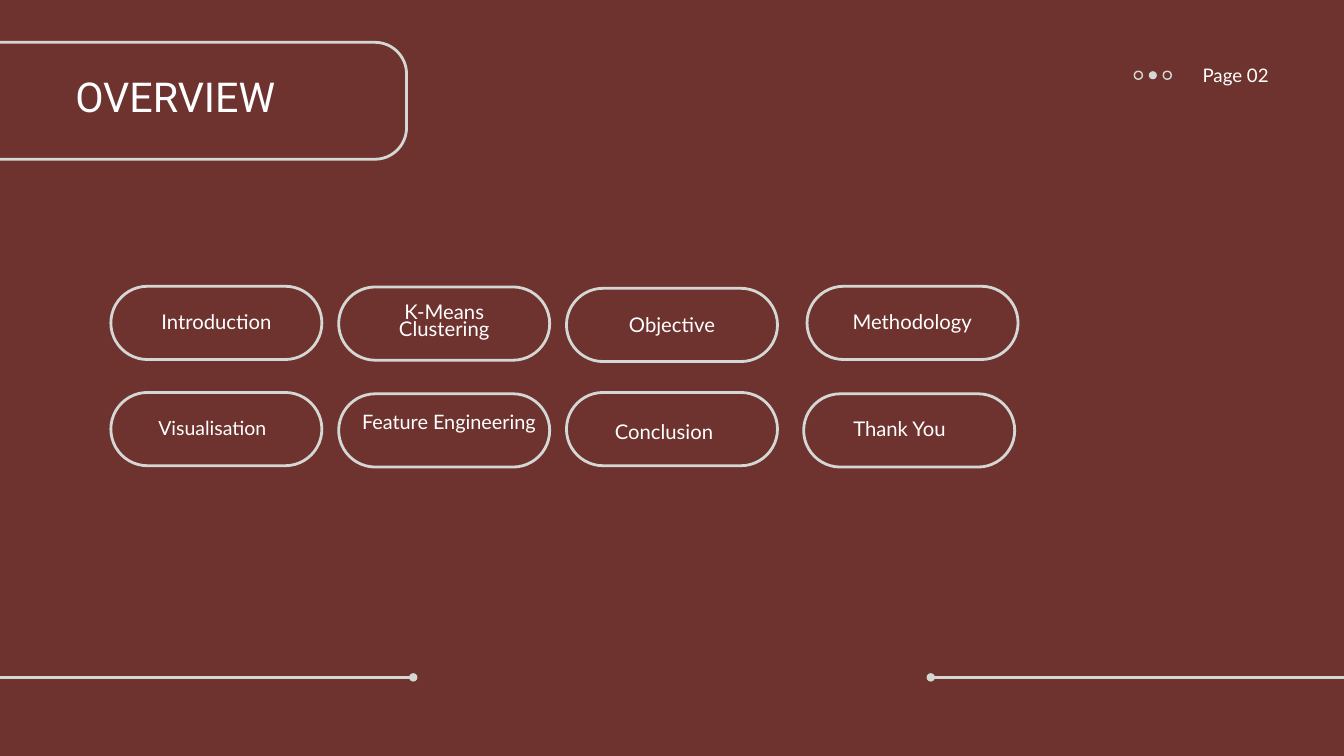
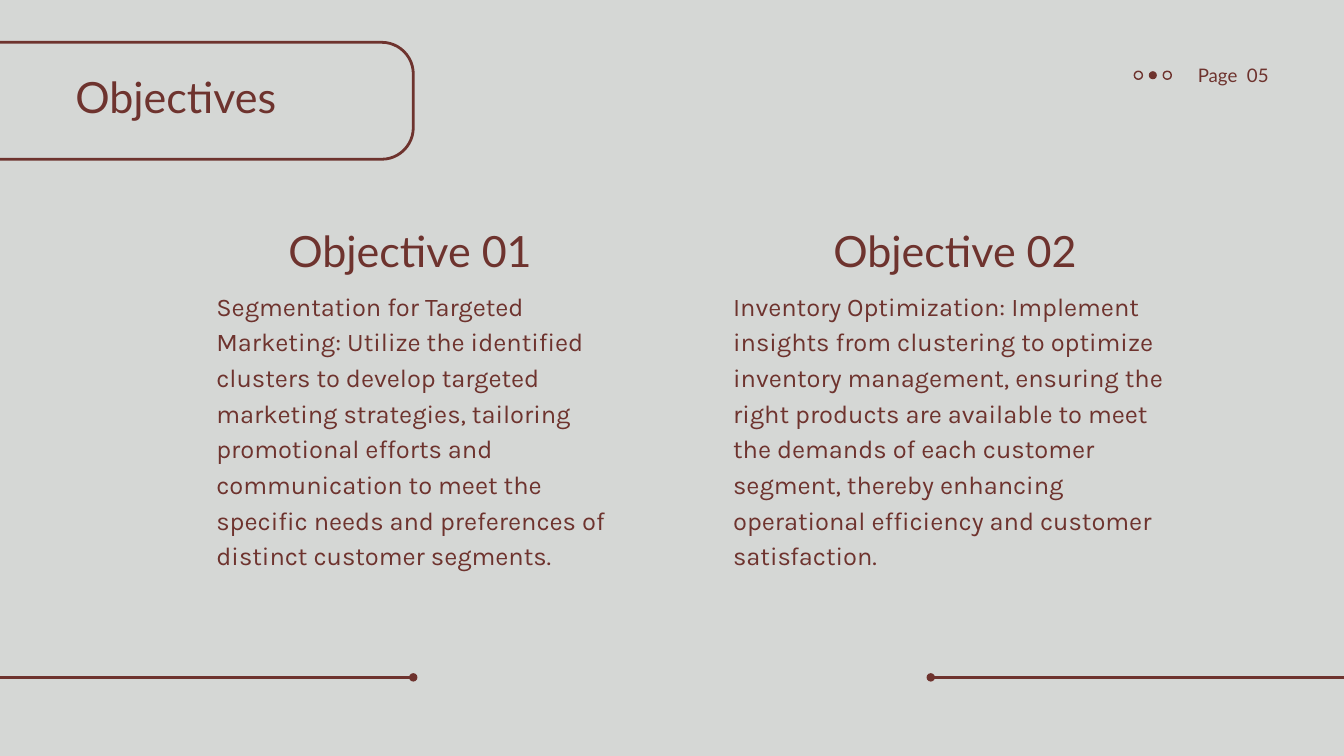
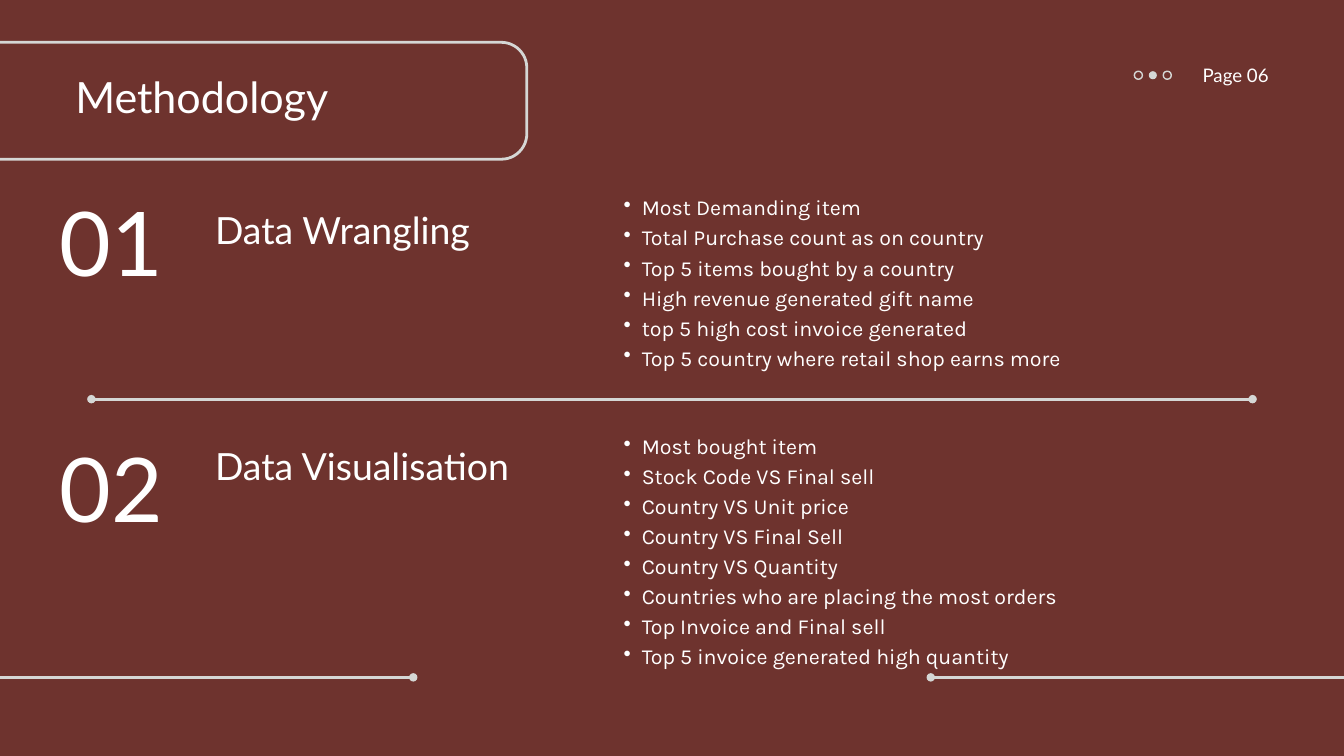
from collections import namedtuple

from lxml import etree
from pptx import Presentation
from pptx import util as u
from pptx.dml.color import RGBColor
from pptx.enum import shapes, text
from pptx.oxml import ns

MAROON = RGBColor(0x6E, 0x33, 0x2E)
SILVER = RGBColor(0xD5, 0xD7, 0xD5)
WHITE = RGBColor(0xFF, 0xFF, 0xFF)

Theme = namedtuple("Theme", "ground accent ink")
DARK = Theme(MAROON, SILVER, WHITE)
LIGHT = Theme(SILVER, MAROON, MAROON)

Box = namedtuple("Box", "left top width height")
TIGHT, SINGLE, LOOSE = 0.87, 1, 1.4
LEFT, CENTER, RIGHT = text.PP_ALIGN.LEFT, text.PP_ALIGN.CENTER, text.PP_ALIGN.RIGHT

PILL_WIDTH, PILL_HEIGHT = 3.14, 1.09
TOPICS = [
    ("Introduction", (1.65, 4.26), Box(0.18, 0.44, 2.78, 0.3), 21.7, TIGHT),
    ("K-Means Clustering", (5.04, 4.27), Box(0.36, 0.28, 2.42, 0.56), 21.7, TIGHT),
    ("Objective", (8.43, 4.29), Box(0.67, 0.46, 1.8, 0.3), 21.7, TIGHT),
    ("Methodology", (12.01, 4.26), Box(0.25, 0.4, 2.63, 0.32), 21.7, SINGLE),
    ("Visualisation", (1.65, 5.84), Box(0.06, 0.41, 2.9, 0.31), 20.9, SINGLE),
    ("Feature Engineering", (5.04, 5.86), Box(0.29, 0.3, 2.7, 0.61), 21.3, SINGLE),
    ("Conclusion", (8.43, 5.84), Box(0.29, 0.46, 2.32, 0.32), 21.7, SINGLE),
    ("Thank You", (11.96, 5.86), Box(0.35, 0.4, 2.15, 0.32), 21.7, SINGLE),
]

OBJECTIVES = [
    ("Objective 01", Box(3.22, 3.55, 6.01, 4.84), 1.07,
     "Segmentation for Targeted Marketing: Utilize the identified clusters to "
     "develop targeted marketing strategies, tailoring promotional efforts and "
     "communication to meet the specific needs and preferences of distinct "
     "customer segments."),
    ("Objective 02", Box(10.91, 3.55, 6.74, 4.84), 1.49,
     "Inventory Optimization: Implement insights from clustering to optimize "
     "inventory management, ensuring the right products are available to meet "
     "the demands of each customer segment, thereby enhancing operational "
     "efficiency and customer satisfaction."),
]

WRANGLING = [
    "Most Demanding item",
    "Total Purchase count as on country",
    "Top 5 items bought by a country",
    "High revenue generated gift name",
    "top 5 high cost invoice generated",
    "Top 5 country where retail shop earns more",
]
VISUALISATION = [
    "Most bought item",
    "Stock Code VS Final sell",
    "Country VS Unit price",
    "Country VS Final Sell",
    "Country VS Quantity",
    "Countries who are placing the most orders",
    "Top Invoice and Final sell",
    "Top 5 invoice generated high quantity",
]


def inches(box):
    """Convert a box of numbers to lengths."""
    return [u.Inches(value) for value in box]


def inside(box, left, top, width, height):
    """Return a box placed relative to the corner of another."""
    return Box(box.left + left, box.top + top, width, height)


def add_text(page, box, lines, size, color, font="Lato", spacing=TIGHT,
             align=LEFT, bullets=False):
    """Write lines in a wrapped text box without margins."""
    frame = page.shapes.add_textbox(*inches(box)).text_frame
    frame.margin_left = frame.margin_top = frame.margin_right = frame.margin_bottom = 0
    frame.word_wrap = True
    frame.auto_size = text.MSO_AUTO_SIZE.SHAPE_TO_FIT_TEXT
    frame.text = "\n".join(lines)
    for para in frame.paragraphs:
        para.alignment = align
        para.line_spacing = u.Pt(round(size * spacing, 1))
        if bullets:
            add_bullet(para)
        for span in para.runs:
            span.font.name = font
            span.font.size = u.Pt(size)
            span.font.color.rgb = color


def add_bullet(para):
    """Give a paragraph a round bullet and a hanging indent."""
    para.level = 1
    props = para._p.get_or_add_pPr()
    props.set("marL", str(u.Inches(0.54)))
    props.set("indent", str(u.Inches(-0.27)))
    etree.SubElement(props, ns.qn("a:buChar"), char="•")


def add_outline(page, kind, box, color, weight=3, filled=False):
    """Draw a preset shape that is either outlined or filled."""
    shape = page.shapes.add_shape(kind, *inches(box))
    shape.shadow.inherit = False
    if filled:
        shape.fill.solid()
        shape.fill.fore_color.rgb = color
        shape.line.fill.background()
    else:
        shape.fill.background()
        shape.line.color.rgb = color
        shape.line.width = u.Pt(weight)
    return shape


def add_rounded(page, box, color, radius):
    """Outline a rectangle with corners of the given radius."""
    shape = add_outline(page, shapes.MSO_SHAPE.ROUNDED_RECTANGLE, box, color)
    shape.adjustments[0] = radius / box.height


def add_rule(page, start, end, top, color, ends=("tailEnd",)):
    """Draw a horizontal line with dots at the named ends."""
    rule = page.shapes.add_connector(
        shapes.MSO_CONNECTOR.STRAIGHT, *inches((start, top, end, top)))
    rule.line.color.rgb = color
    rule.line.width = u.Pt(3)
    for end_name in ends:
        etree.SubElement(rule.line._ln, ns.qn("a:" + end_name), type="oval")
    etree.SubElement(rule._element.spPr, ns.qn("a:effectLst"))


def add_title(page, box, title, theme, radius=0.47, font="Lato", size=46.1):
    """Draw the title tab that runs in from the left edge."""
    add_rounded(page, box, theme.accent, radius)
    add_text(page, inside(box, 2.56, 0.63, box.width - 3, 0.63), [title], size,
             theme.ink, font)


def add_page_mark(page, box, label, theme):
    """Draw three dots and the page number."""
    for index in range(3):
        dot = inside(box, 0.215 * index, 0.16, 0.12, 0.12)
        add_outline(page, shapes.MSO_SHAPE.OVAL, dot, theme.accent, 1.5, index == 1)
    add_text(page, inside(box, box.width - 1.5, 0, 1.5, box.height), [label], 20,
             theme.ink, spacing=LOOSE, align=RIGHT)


def add_page(deck, theme, label):
    """Add a slide with ground, page mark and footer lines."""
    page = deck.slides.add_slide(deck.slide_layouts[6])
    page.background.fill.solid()
    page.background.fill.fore_color.rgb = theme.ground
    add_page_mark(page, Box(16.88, 0.9, 2, 0.39), label, theme)
    for start, end in ((-1.22, 6.15), (21.22, 13.85)):
        add_rule(page, start, end, 10.08, theme.accent)
    return page


def add_topic(page, box, label, label_box, size, spacing, theme):
    """Draw a pill with its topic."""
    add_rounded(page, box, theme.accent, box.height / 2)
    add_text(page, inside(box, *label_box), [label], size, theme.ink,
             spacing=spacing, align=CENTER)


def add_objective(page, box, heading, indent, body, theme):
    """Write a heading over its paragraph."""
    add_text(page, inside(box, indent, 0, 5.25, 0.63), [heading], 46.1, theme.ink)
    add_text(page, inside(box, 0, 0.7, box.width, box.height - 0.7), [body], 27.3,
             theme.ink, "Karla", LOOSE)


def add_step(page, box, number, number_top, heading, heading_top, items, theme):
    """Write a numbered step with its bullet list."""
    add_text(page, inside(box, 0, number_top, 2.32, 1.27), [number], 95.5, theme.ink)
    add_text(page, inside(box, 2.31, heading_top, 5.24, 1.01), [heading], 40.1, theme.ink)
    add_text(page, inside(box, 8.12, 0, 8.45, box.height), items, 23, theme.ink,
             "Karla", LOOSE, bullets=True)


def build_overview(deck):
    """Build the overview of topics."""
    page = add_page(deck, DARK, "Page 02")
    add_title(page, Box(-1.44, 0.63, 7.49, 1.74), "OVERVIEW", DARK,
              font="Roboto", size=44.1)
    for label, corner, label_box, size, spacing in TOPICS:
        pill = Box(*corner, PILL_WIDTH, PILL_HEIGHT)
        add_topic(page, pill, label, label_box, size, spacing, DARK)


def build_objectives(deck):
    """Build the two objectives."""
    page = add_page(deck, LIGHT, "Page  05")
    add_title(page, Box(-1.44, 0.63, 7.59, 1.74), "Objectives", LIGHT)
    for heading, box, indent, body in OBJECTIVES:
        add_objective(page, box, heading, indent, body, LIGHT)


def build_methodology(deck):
    """Build the two steps of the method."""
    page = add_page(deck, DARK, "Page 06")
    add_title(page, Box(-1.44, 0.63, 9.28, 1.74), "Methodology", DARK, radius=0.38)
    add_step(page, Box(0.89, 2.83, 16.57, 2.61), "01", 0.39,
             "Data Wrangling", 0.43, WRANGLING, DARK)
    add_step(page, Box(0.89, 6.38, 16.57, 3.49), "02", 0.51,
             "Data Visualisation", 0.39, VISUALISATION, DARK)
    add_rule(page, 1.36, 18.64, 5.94, DARK.accent, ("headEnd", "tailEnd"))


def main():
    """Build and save the deck."""
    deck = Presentation()
    deck.slide_width, deck.slide_height = u.Inches(20), u.Inches(11.25)
    build_overview(deck)
    build_objectives(deck)
    build_methodology(deck)
    deck.save("out.pptx")


if __name__ == "__main__":
    main()
